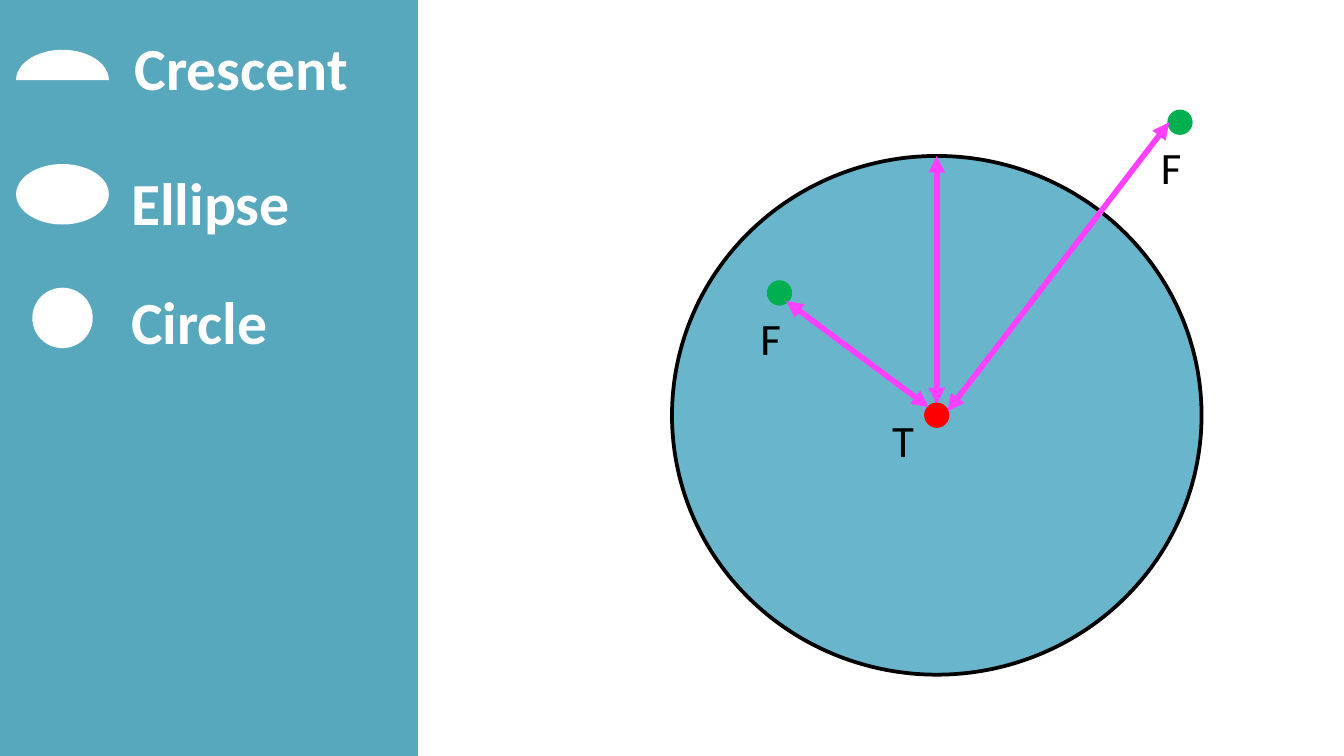
from lxml import etree
from pptx import Presentation
from pptx.dml.color import RGBColor
from pptx.enum.shapes import MSO_CONNECTOR as Connector, MSO_SHAPE as Shape
from pptx.enum.text import MSO_ANCHOR as Anchor, MSO_AUTO_SIZE as AutoSize, PP_ALIGN as Align
from pptx.oxml.ns import qn
from pptx.util import Inches, Pt

WHITE = RGBColor(0xFF, 0xFF, 0xFF)
BLACK = RGBColor(0, 0, 0)
PANEL = RGBColor(0x57, 0xA7, 0xBD)
DISC = RGBColor(0x69, 0xB6, 0xCC)
RED = RGBColor(0xFF, 0, 0)
GREEN = RGBColor(0, 0xB0, 0x50)
MAGENTA = RGBColor(0xFF, 0x40, 0xFF)
FONT = "Calibri"
SLIDE_WIDTH = 10
SLIDE_HEIGHT = SLIDE_WIDTH * 9 / 16


def add_figure(slide, kind, box, fill=None, line=None):
    """Add a preset shape with an optional fill and a 2 pt outline."""
    shape = slide.shapes.add_shape(kind, *map(Inches, box))
    shape.shadow.inherit = False
    if fill is None:
        shape.fill.background()
    else:
        shape.fill.solid()
        shape.fill.fore_color.rgb = fill
    if line is None:
        shape.line.fill.background()
    else:
        shape.line.color.rgb = line
        shape.line.width = Pt(2)
    return shape


def write_legend_label(shape, text):
    """Write a white bold shape name, set off by a small space."""
    frame = shape.text_frame
    frame.word_wrap = True
    frame.auto_size = AutoSize.SHAPE_TO_FIT_TEXT
    frame.vertical_anchor = Anchor.TOP
    paragraph = frame.paragraphs[0]
    paragraph.alignment = Align.LEFT
    for content, size in ((" ", 20), (text, 32)):
        run = paragraph.add_run()
        run.text = content
        font = run.font
        font.name, font.size, font.bold = FONT, Pt(size), True
        font.color.rgb = WHITE


def add_point_label(slide, text, box, wrap=False):
    """Add the letter that names a point."""
    frame = slide.shapes.add_textbox(*map(Inches, box)).text_frame
    frame.word_wrap = wrap
    frame.auto_size = AutoSize.SHAPE_TO_FIT_TEXT
    paragraph = frame.paragraphs[0]
    paragraph.text = text
    paragraph.font.name, paragraph.font.size = FONT, Pt(24)
    paragraph.font.color.rgb = BLACK


def add_point(slide, left, top, color):
    """Add a small round point."""
    add_figure(slide, Shape.OVAL, (left, top, 0.16, 0.16), color, color)


def add_double_arrow(slide, start, end):
    """Add a magenta line with a triangle at both ends."""
    arrow = slide.shapes.add_connector(Connector.STRAIGHT, *map(Inches, start + end))
    arrow.line.color.rgb = MAGENTA
    arrow.line.width = Pt(3)
    line = arrow.line._get_or_add_ln()
    for tag in ("a:headEnd", "a:tailEnd"):
        etree.SubElement(line, qn(tag), type="triangle")
    etree.SubElement(arrow._element.spPr, qn("a:effectLst"))


def add_legend(slide):
    """Add the side panel with its three named shapes."""
    add_figure(slide, Shape.RECTANGLE, (0, 0, 3.11, SLIDE_HEIGHT), PANEL)
    label = slide.shapes.add_textbox(*map(Inches, (0.84, 0.18, 2.29, 0.64)))
    write_legend_label(label, "Crescent")
    crescent = add_figure(slide, Shape.PIE, (0.12, 0.37, 0.69, 0.45), WHITE)
    crescent.adjustments[0] = 0
    crescent.adjustments[1] = 108.09
    crescent.rotation = 180
    for name, label_top, icon in (
        ("Ellipse", 1.05, (0.12, 1.22, 0.69, 0.45)),
        ("Circle", 1.94, (0.24, 2.14, 0.45, 0.45)),
    ):
        label = add_figure(slide, Shape.OVAL, (0.43, label_top, 2.63, 0.9))
        write_legend_label(label, name)
        add_figure(slide, Shape.OVAL, icon, WHITE).rotation = 180


def add_diagram(slide):
    """Add the disc with its center T, the points F and the distances."""
    disc = add_figure(slide, Shape.OVAL, (5, 1.16, 3.94, 3.86), DISC, BLACK)
    disc.rotation = 180
    add_double_arrow(slide, (6.97, 3.01), (6.97, 1.16))
    add_point(slide, 6.89, 3.01, RED)
    add_point_label(slide, "T", (6.54, 3.02, 0.31, 0.5), wrap=True)
    for left, top, start, end in (
        (5.72, 2.1, (6.91, 3.03), (5.85, 2.24)),
        (8.7, 0.83, (7.05, 3.06), (8.7, 0.91)),
    ):
        add_point(slide, left, top, GREEN)
        add_point_label(slide, "F", (left - 0.16, top + 0.16, 0.43, 0.5))
        add_double_arrow(slide, start, end)


def main():
    """Build the slide and save it."""
    presentation = Presentation()
    presentation.slide_width = Inches(SLIDE_WIDTH)
    presentation.slide_height = Inches(SLIDE_HEIGHT)
    slide = presentation.slides.add_slide(presentation.slide_layouts[6])
    add_legend(slide)
    add_diagram(slide)
    presentation.save("out.pptx")


if __name__ == "__main__":
    main()
